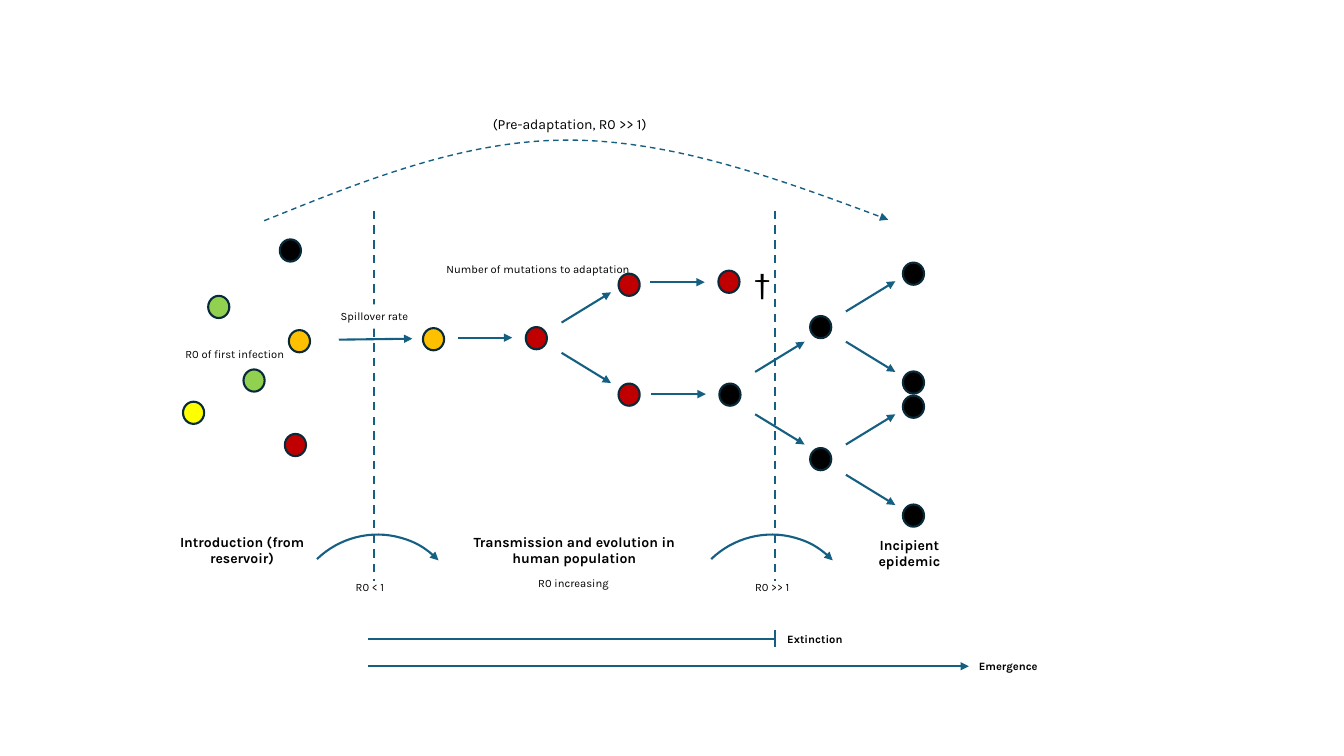
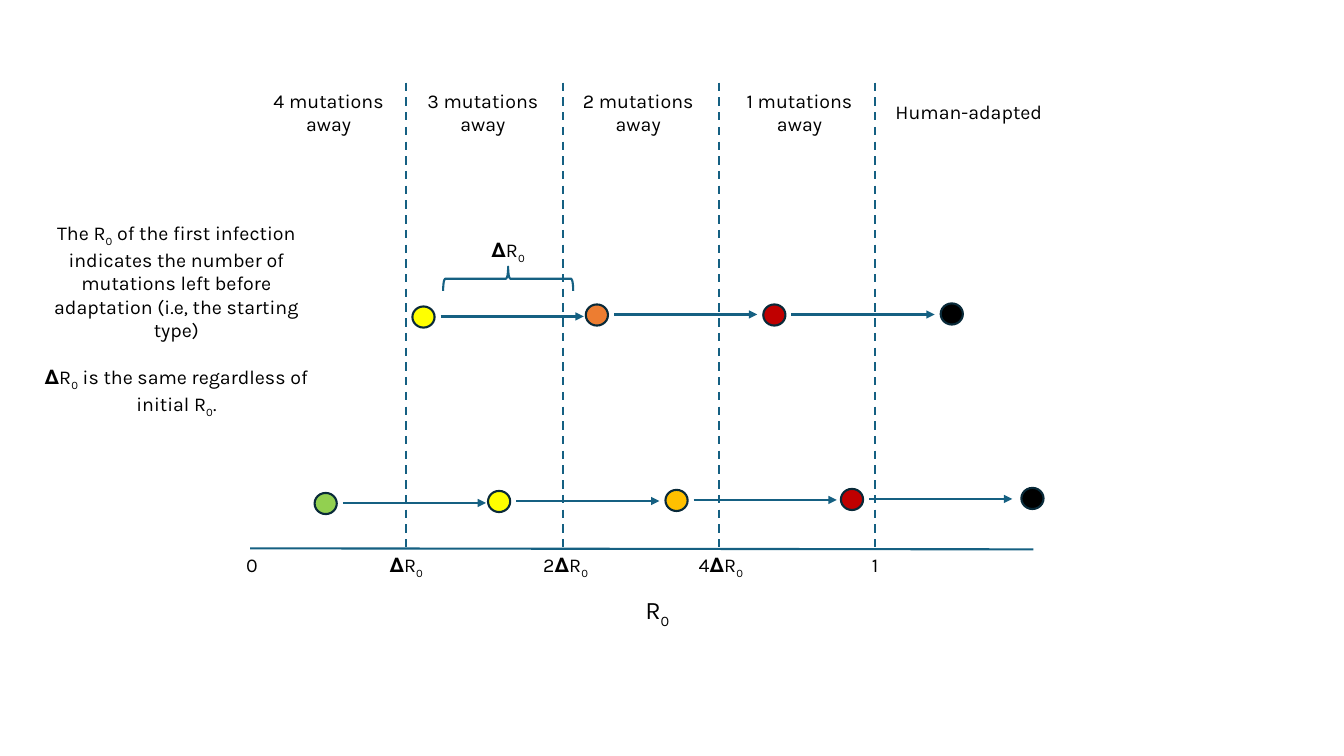
from lxml.etree import SubElement
from pptx import Presentation
from pptx.dml.color import RGBColor
from pptx.enum.dml import MSO_LINE
from pptx.enum.shapes import MSO_CONNECTOR, MSO_SHAPE
from pptx.enum.text import PP_ALIGN
from pptx.oxml.ns import qn
from pptx.util import Inches, Pt

FONT = "Karla"
BLACK, WHITE = "000000", "FFFFFF"
BLUE, NAVY = "156082", "092A39"
GREEN, YELLOW, AMBER, ORANGE, RED = "92D050", "FFFF00", "FFC000", "ED7D31", "C00000"
CENTER, LEFT = PP_ALIGN.CENTER, PP_ALIGN.LEFT


def stroke(shape, color=BLUE, width=1.5, dashed=False, arrow=False):
    shape.line.color.rgb = RGBColor.from_string(color)
    shape.line.width = Pt(width)
    if dashed:
        shape.line.dash_style = MSO_LINE.DASH
    properties = shape._element.spPr
    if arrow:
        SubElement(properties.find(qn("a:ln")), qn("a:tailEnd"), type="triangle")
    SubElement(properties, qn("a:effectLst"))


def write(slide, text, left, top, width, height, size, align=CENTER,
          bold=False, fill=None, gap=0):
    box = slide.shapes.add_textbox(Inches(left), Inches(top), Inches(width), Inches(height))
    if fill:
        box.fill.solid()
        box.fill.fore_color.rgb = RGBColor.from_string(fill)
    frame = box.text_frame
    frame.word_wrap = True
    frame.text = text
    for index, paragraph in enumerate(frame.paragraphs):
        paragraph.alignment = align
        if index and gap:
            paragraph.space_before = Pt(gap)
        pieces = paragraph.text.split("~")
        paragraph.text = pieces[0]
        for piece in pieces[1:]:
            paragraph.add_run().text = piece
        for position, run in enumerate(paragraph.runs):
            run.font.name = FONT
            run.font.size = Pt(size)
            run.font.bold = bold
            run.font.color.rgb = RGBColor.from_string(BLACK)
            if position % 2:
                run.font._element.set("baseline", "-25000")


prs = Presentation()
prs.slide_width, prs.slide_height = Inches(13.33), Inches(7.5)
emergence, mutations = [prs.slides.add_slide(prs.slide_layouts[6]) for _ in range(2)]

thresholds = [(emergence, x, 2.09, x, 5.76) for x in (3.71, 7.69)]
thresholds += [(mutations, 4.03 + 1.55 * i, 0.82, 4.03 + 1.55 * i, 5.44) for i in range(4)]

plain_lines = [
    (emergence, 3.65, 6.34, 7.69, 6.34),
    (emergence, 7.69, 6.25, 7.69, 6.42),
    (mutations, 2.48, 5.44, 10.25, 5.45),
]

arrows = [(emergence, 3.36, 3.37, 4.09, 3.36), (emergence, 3.65, 6.61, 9.61, 6.61)]
for x, y in [(4.54, 3.35), (6.46, 3.91), (6.45, 2.8)]:
    arrows.append((emergence, x, y, x + 0.54, y))
for x, y, offset in [(5.57, 3.35, 0.15), (7.49, 3.9, 0.21), (8.39, 4.56, 0.15), (8.39, 3.24, 0.15)]:
    for side in (-1, 1):
        arrows.append((emergence, x, y + side * offset, x + 0.49, y + side * (offset + 0.3)))

dots = [(emergence, *dot) for dot in [
    (2.06, 2.94, GREEN), (2.41, 3.67, GREEN), (1.81, 3.99, YELLOW),
    (2.86, 3.28, AMBER), (4.19, 3.26, AMBER), (2.82, 4.31, RED),
    (5.21, 3.25, RED), (6.13, 3.81, RED), (6.13, 2.72, RED), (7.12, 2.69, RED),
    (2.77, 2.38, BLACK), (7.13, 3.81, BLACK), (8.03, 4.45, BLACK), (8.03, 3.14, BLACK),
    (8.95, 5.01, BLACK), (8.95, 3.93, BLACK), (8.95, 3.69, BLACK), (8.95, 2.61, BLACK),
]]

lineages = [
    [(4.09, 3.04, YELLOW), (5.81, 3.02, ORANGE), (7.57, 3.02, RED), (9.33, 3.01, BLACK)],
    [(3.12, 4.89, GREEN), (4.84, 4.87, YELLOW), (6.6, 4.86, AMBER), (8.34, 4.85, RED),
     (10.13, 4.84, BLACK)],
]
for lineage in lineages:
    dots += [(mutations, *dot) for dot in lineage]
    for x, y, _ in lineage[:-1]:
        arrows.append((mutations, x + 0.28, y + 0.1, x + 1.7, y + 0.1))

for links, dashed, arrow in [(thresholds, True, False), (plain_lines, False, False),
                             (arrows, False, True)]:
    for slide, *ends in links:
        link = slide.shapes.add_connector(MSO_CONNECTOR.STRAIGHT, *[Inches(end) for end in ends])
        stroke(link, dashed=dashed, arrow=arrow)

for slide, left, top, color in dots:
    dot = slide.shapes.add_shape(
        MSO_SHAPE.OVAL, Inches(left), Inches(top), Inches(0.22), Inches(0.21))
    dot.rotation = 270 if slide is emergence else 0
    dot.fill.solid()
    dot.fill.fore_color.rgb = RGBColor.from_string(color)
    stroke(dot, NAVY)

for slide, kind, left, top, width, height, turn in [
    (emergence, MSO_SHAPE.ARC, 2.87, 5.31, 1.72, 1.69, 316.1),
    (emergence, MSO_SHAPE.ARC, 6.78, 5.31, 1.72, 1.69, 316.1),
    (mutations, MSO_SHAPE.RIGHT_BRACE, 4.92, 2.12, 0.24, 1.29, 270),
]:
    outline = slide.shapes.add_shape(
        kind, Inches(left), Inches(top), Inches(width), Inches(height))
    outline.rotation = turn
    outline.fill.background()
    stroke(outline, arrow=kind == MSO_SHAPE.ARC)

curve_points = [(3.61, 1.79), (4.6, 1.39), (5.63, 1.39), (6.66, 1.39), (7.74, 1.78), (8.81, 2.18)]
builder = emergence.shapes.build_freeform(Inches(2.62), Inches(2.19))
builder.add_line_segments([(Inches(x), Inches(y)) for x, y in curve_points], close=False)
preadaptation = builder.convert_to_shape()
preadaptation.fill.background()
stroke(preadaptation, width=1, dashed=True, arrow=True)
segments = list(preadaptation._element.iter(qn("a:lnTo")))
curve_path = segments[0].getparent()
for start in range(0, len(segments), 3):
    bezier = SubElement(curve_path, qn("a:cubicBezTo"))
    for segment in segments[start:start + 3]:
        bezier.append(segment[0])
        curve_path.remove(segment)

write(emergence, "†", 7.31, 2.55, 0.5, 0.5, 24)
write(emergence, "(Pre-adaptation, R0 >> 1)", 4.68, 1.1, 1.94, 0.27, 10)
for stage, left, top, width in [
    ("Introduction (from reservoir)", 1.54, 5.24, 1.72),
    ("Transmission and evolution in human population", 4.35, 5.24, 2.69),
    ("Incipient\nepidemic", 8.05, 5.27, 1.94),
]:
    write(emergence, stage, left, top, width, 0.44, 10, bold=True)
for note, left, top, width in [
    ("R0 >> 1", 7.39, 5.71, 0.66),
    ("R0 < 1", 3.43, 5.71, 0.66),
    ("R0 of first infection", 1.74, 3.4, 1.3),
    ("Number of mutations to adaptation", 4.33, 2.55, 2.22),
    ("R0 increasing", 5.24, 5.67, 1),
]:
    write(emergence, note, left, top, width, 0.24, 8, LEFT)
for note, left, top, bold in [
    ("Spillover rate", 3.28, 3.02, False),
    ("Extinction", 7.71, 6.22, True),
    ("Emergence", 9.61, 6.49, True),
]:
    write(emergence, note, left, top, 0.9, 0.24, 8, LEFT, bold, WHITE)

for count, left in [(4, 2.18), (3, 3.71), (2, 5.25), (1, 6.85)]:
    write(mutations, f"{count} mutations\naway", left, 0.83, 2.16, 0.57, 14)
write(mutations, "Human-adapted", 8.53, 0.94, 2.16, 0.34, 14)
write(mutations, "𝚫R~0", 3.96, 2.31, 2.16, 0.34, 14)
for tick, left in [("0", 1.28), ("𝚫R~0", 2.81), ("2𝚫R~0", 4.39), ("4𝚫R~0", 5.93), ("1", 7.46)]:
    write(mutations, tick, left, 5.44, 2.44, 0.34, 14)
write(mutations, "R~0", 5.02, 5.85, 3, 0.4, 18)
write(
    mutations,
    "The R~0~ of the first infection indicates the number of mutations left before "
    "adaptation (i.e, the starting type)\n"
    "𝚫R~0~ is the same regardless of initial R~0~.",
    0.26, 2.14, 2.98, 1.75, 14, gap=17)

prs.save("out.pptx")
